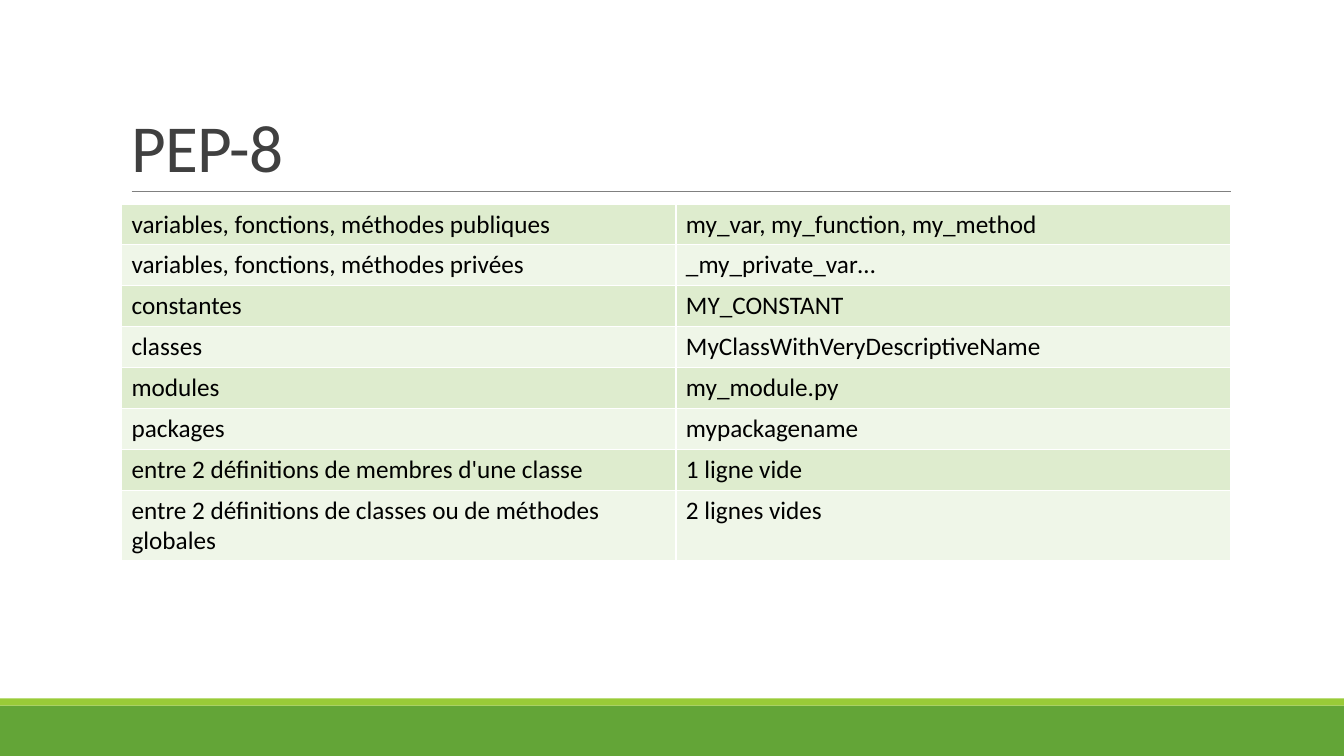
from lxml.etree import SubElement
from pptx import Presentation
from pptx.dml.color import RGBColor
from pptx.enum.shapes import MSO_CONNECTOR, MSO_SHAPE
from pptx.enum.text import MSO_ANCHOR
from pptx.oxml.ns import qn
from pptx.util import Pt

ROWS = [
    ("variables, fonctions, méthodes publiques", "my_var, my_function, my_method"),
    ("variables, fonctions, méthodes privées", "_my_private_var…"),
    ("constantes", "MY_CONSTANT"),
    ("classes", "MyClassWithVeryDescriptiveName"),
    ("modules", "my_module.py"),
    ("packages", "mypackagename"),
    ("entre 2 définitions de membres d'une classe", "1 ligne vide"),
    ("entre 2 définitions de classes ou de méthodes globales", "2 lignes vides"),
]
BANDS = ("DEECCE", "EFF6E8")
LEFT, WIDTH, ROW = 86.8, 792, 29.2


def paint(fill, color):
    """Make a fill solid in a hex colour."""
    fill.solid()
    fill.fore_color.rgb = RGBColor.from_string(color)


def write(frame, text, size=18, color="000000", lead=None, track=None):
    """Put formatted text in a text frame."""
    frame.word_wrap = True
    para = frame.paragraphs[0]
    if lead:
        para.line_spacing = lead
    run = para.add_run()
    run.text = text
    run.font.name = "Calibri"
    run.font.size = Pt(size)
    paint(run.font.fill, color)
    if track:
        run.font._element.set("spc", str(round(track * 100)))


def add_bar(slide, top, height, color):
    """Draw a bar across the full slide width."""
    bar = slide.shapes.add_shape(MSO_SHAPE.RECTANGLE, 0, Pt(top), Pt(960), Pt(height))
    bar.shadow.inherit = False
    bar.line.fill.background()
    paint(bar.fill, color)


def add_rule(slide, left, right, top, color):
    """Draw a thin level line."""
    rule = slide.shapes.add_connector(
        MSO_CONNECTOR.STRAIGHT, Pt(left), Pt(top), Pt(right), Pt(top))
    rule.line.width = Pt(0.5)
    paint(rule.line.fill, color)
    SubElement(rule._element.spPr, qn("a:effectLst"))


def add_title(slide, text):
    """Add the title, set on the bottom of its box."""
    box = slide.shapes.add_textbox(Pt(LEFT), Pt(22.5), Pt(WIDTH), Pt(114.2))
    box.text_frame.vertical_anchor = MSO_ANCHOR.BOTTOM
    write(box.text_frame, text, size=48, color="404040", lead=0.85, track=-0.5)


def edge(cell, color):
    """Give a cell borders of one point on all sides."""
    props = cell._tc.get_or_add_tcPr()
    for at, side in enumerate(("lnL", "lnR", "lnT", "lnB")):
        line = props.makeelement(qn(f"a:{side}"), {"w": str(Pt(1))})
        props.insert(at, line)
        fill = SubElement(line, qn("a:solidFill"))
        SubElement(fill, qn("a:srgbClr"), val=color)


def add_grid(slide, rows):
    """Add the table with banded rows."""
    frame = slide.shapes.add_table(
        len(rows), 2, Pt(LEFT), Pt(145.7), Pt(WIDTH), Pt(ROW * len(rows)))
    grid = frame.table
    grid.first_row = False
    for r, texts in enumerate(rows):
        grid.rows[r].height = Pt(ROW)
        for c, text in enumerate(texts):
            cell = grid.cell(r, c)
            paint(cell.fill, BANDS[r % 2])
            edge(cell, "FFFFFF")
            write(cell.text_frame, text)


def main():
    """Build the slide and save it."""
    deck = Presentation()
    deck.slide_width, deck.slide_height = Pt(960), Pt(540)
    slide = deck.slides.add_slide(deck.slide_layouts[6])
    add_bar(slide, 504, 36, "63A537")
    add_bar(slide, 498.8, 5.2, "99CB38")
    add_rule(slide, 94, 879, 136.8, "808080")
    add_title(slide, "PEP-8")
    add_grid(slide, ROWS)
    deck.save("out.pptx")


if __name__ == "__main__":
    main()
